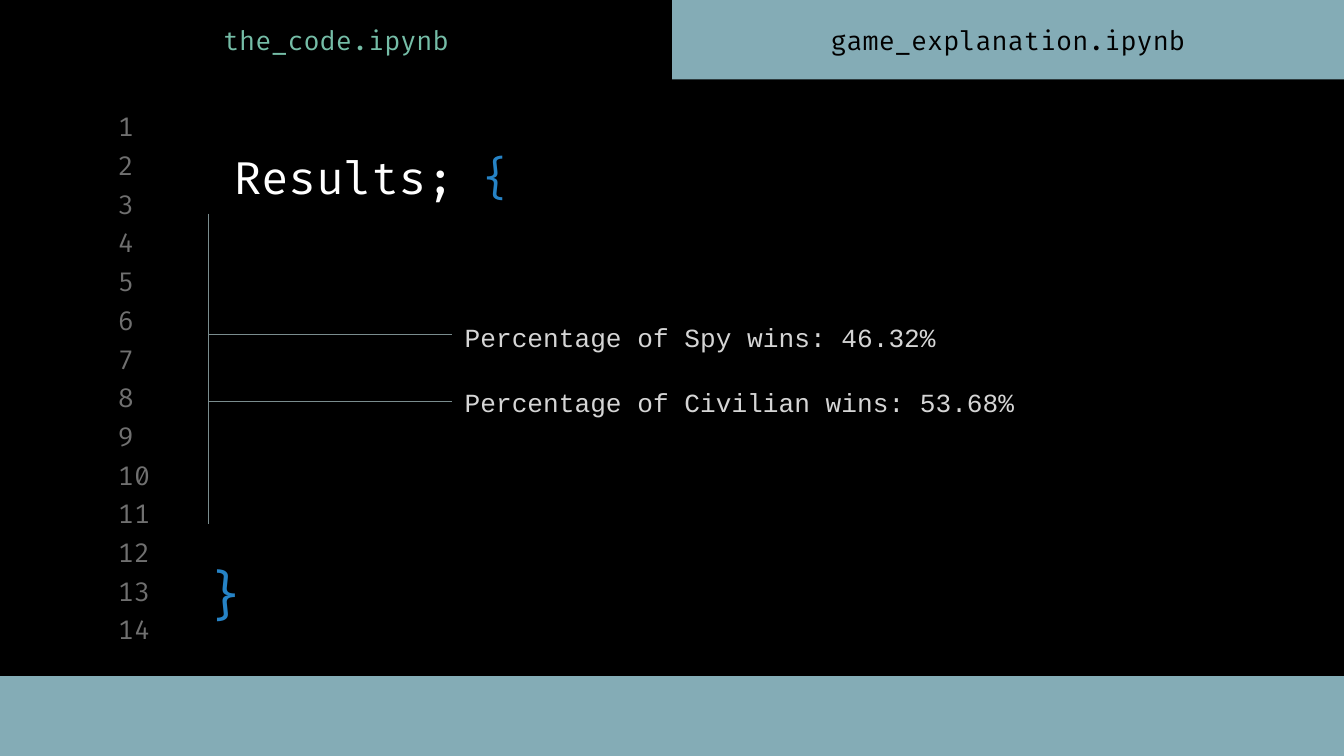
from pptx import Presentation
from pptx.dml.color import RGBColor as Rgb
from pptx.enum.shapes import MSO_CONNECTOR as Link, MSO_SHAPE as Kind
from pptx.enum.text import MSO_ANCHOR as Anchor, PP_ALIGN as Align
from pptx.oxml.ns import qn
from pptx.util import Inches, Pt
from lxml.etree import SubElement as Sub

theme = {
    "back": Rgb.from_string("84ACB6"),
    "black": Rgb.from_string("000000"),
    "white": Rgb.from_string("FFFFFF"),
    "grey": Rgb.from_string("707070"),
    "pale": Rgb.from_string("D5D5D5"),
    "blue": Rgb.from_string("2683C6"),
    "green": Rgb.from_string("75BDA7"),
    "rule": Rgb.from_string("7A8C8E"),
    "code": "Fira Code",
    "mono": "Courier New",
    "body": Pt(14),
    "title": Pt(24),
    "brace": Pt(28),
    "gap": Pt(18),
    "thin": Pt(0.75),
}

deck = Presentation()
deck.slide_width = Inches(10)
deck.slide_height = deck.slide_width * 9 // 16
unit = deck.slide_width // 100
slide = deck.slides.add_slide(deck.slide_layouts[6])
fill = slide.background.fill
fill.solid()
fill.fore_color.rgb = theme["back"]


def grid(*cells):
    return [round(cell * unit) for cell in cells]


def write(box, lines, size="body", font="code", align=Align.LEFT,
          anchor=Anchor.MIDDLE, pad=1, gap=0):
    frame = slide.shapes.add_textbox(*grid(*box)).text_frame
    side, edge = grid(1, pad)
    form = {"word_wrap": True, "vertical_anchor": anchor,
            "margin_left": side, "margin_right": side,
            "margin_top": edge, "margin_bottom": edge}
    for name, value in form.items():
        setattr(frame, name, value)
    for row, runs in enumerate(lines):
        para = frame.add_paragraph() if row else frame.paragraphs[0]
        para.alignment = align
        para.space_before = gap if row else 0
        for text, tone in runs:
            run = para.add_run()
            run.text = text
            run.font.color.rgb = theme[tone]
            for name, value in {"size": theme[size], "name": theme[font]}.items():
                setattr(run.font, name, value)


for area in [(0, 5.9, 100, 44.4), (0, 0, 50, 6.5)]:
    panel = slide.shapes.add_shape(Kind.RECTANGLE, *grid(*area))
    panel.shadow.inherit = False
    panel.fill.solid()
    panel.fill.fore_color.rgb = theme["black"]
    panel.line.fill.background()

for row in range(14):
    write((7.8, 8.2 + row * 2.88, 4.7, 2.4), [[(str(row + 1), "grey")]])

write((16.4, 7.1, 82, 12.1), [[("Results; ", "white"), ("{", "blue")]], "title")
write((14.6, 39.9, 5.5, 8.6), [[("}", "blue")]], "brace")

tabs = [("the_code.ipynb", "green"), ("game_explanation.ipynb", "black")]
for col, tab in enumerate(tabs):
    write((col * 50, 1, 50, 3.9), [[tab]], align=Align.CENTER)

wins = [("Spy", "46.32%"), ("Civilian", "53.68%")]
write((33.6, 23.4, 59.7, 8.1),
      [[(f"Percentage of {side} wins: {share}", "pale")] for side, share in wins],
      font="mono", anchor=Anchor.TOP, pad=0.5, gap=theme["gap"])

stem = 15.5
for ends in [(stem, 15.9, stem, 39), (stem, 24.9, 33.6, 24.9),
             (stem, 29.9, 33.6, 29.9)]:
    rule = slide.shapes.add_connector(Link.STRAIGHT, *grid(*ends))
    rule.line.color.rgb = theme["rule"]
    rule.line.width = theme["thin"]
    Sub(rule._element.spPr, qn("a:effectLst"))

deck.save("out.pptx")
